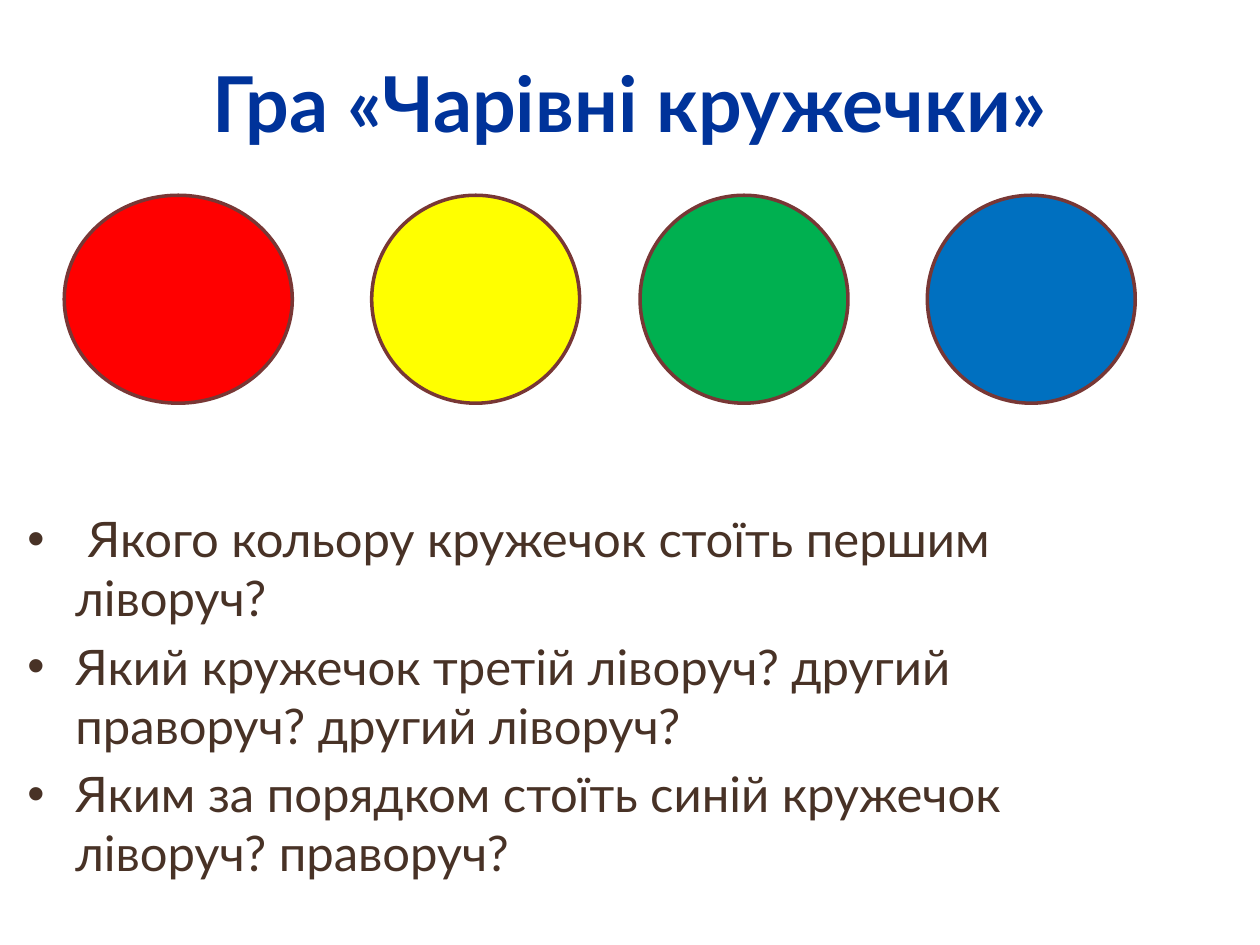
from dataclasses import dataclass

import pptx
import pptx.dml.color
import pptx.enum.shapes
import pptx.enum.text
import pptx.oxml
import pptx.oxml.ns
import pptx.util

Inches = pptx.util.Inches
Pt = pptx.util.Pt
RGBColor = pptx.dml.color.RGBColor
PP_ALIGN = pptx.enum.text.PP_ALIGN
MSO_ANCHOR = pptx.enum.text.MSO_ANCHOR

FONT = "Lato"
NAVY = RGBColor(0x00, 0x33, 0x9A)
BROWN = RGBColor(0x48, 0x32, 0x26)
OUTLINE = RGBColor(0x78, 0x37, 0x35)
RED = RGBColor(0xFF, 0x00, 0x00)
YELLOW = RGBColor(0xFF, 0xFF, 0x00)
GREEN = RGBColor(0x00, 0xB0, 0x50)
BLUE = RGBColor(0x00, 0x70, 0xC0)

CIRCLE_TOP = 1.55
DIAMETER = 1.65


@dataclass
class Circle:
    left: float
    color: RGBColor
    width: float = DIAMETER


CIRCLES = [
    Circle(0.51, RED, width=1.81),
    Circle(2.95, YELLOW),
    Circle(5.08, GREEN),
    Circle(7.36, BLUE),
]

QUESTIONS = [
    " Якого кольору кружечок стоїть першим ліворуч?",
    "Який кружечок третій ліворуч? другий праворуч? другий ліворуч?",
    "Яким за порядком стоїть синій кружечок ліворуч? праворуч?",
]


def add_bullet(p, indent: float) -> None:
    pPr = p._p.get_or_add_pPr()
    pPr.set("marL", str(Inches(indent)))
    pPr.set("indent", str(-Inches(indent)))
    ns = pptx.oxml.ns.nsdecls("a")
    pPr.append(pptx.oxml.parse_xml(f'<a:buFont {ns} typeface="Arial"/>'))
    pPr.append(pptx.oxml.parse_xml(f'<a:buChar {ns} char="•"/>'))


def add_text(slide, lines: list[str], left: float, top: float, width: float,
             height: float, *, size: float, color: RGBColor, bold: bool = False,
             align=PP_ALIGN.LEFT, anchor=MSO_ANCHOR.TOP,
             bullet_indent: float = 0, space_before: float = 0) -> None:
    sp = slide.shapes.add_textbox(Inches(left), Inches(top), Inches(width), Inches(height))
    tf = sp.text_frame
    tf.word_wrap = True
    tf.vertical_anchor = anchor
    for i, line in enumerate(lines):
        p = tf.paragraphs[0] if i == 0 else tf.add_paragraph()
        if bullet_indent:
            add_bullet(p, bullet_indent)
        p.alignment = align
        if i and space_before:
            p.space_before = Pt(space_before)
        r = p.add_run()
        r.text = line
        r.font.name = FONT
        r.font.size = Pt(size)
        r.font.bold = bold
        r.font.color.rgb = color


def add_circle(slide, circle: Circle) -> None:
    sp = slide.shapes.add_shape(
        pptx.enum.shapes.MSO_SHAPE.OVAL, Inches(circle.left), Inches(CIRCLE_TOP),
        Inches(circle.width), Inches(DIAMETER))
    sp.shadow.inherit = False
    sp.fill.solid()
    sp.fill.fore_color.rgb = circle.color
    sp.line.color.rgb = OUTLINE
    sp.line.width = Pt(2)


def main() -> None:
    prs = pptx.Presentation()
    prs.slide_width = Inches(10)
    prs.slide_height = Inches(7.5)
    s = prs.slides.add_slide(prs.slide_layouts[6])
    add_text(s, ["Гра «Чарівні кружечки»"], 0.5, 0.3, 9, 1.01, size=44, color=NAVY,
             bold=True, align=PP_ALIGN.CENTER, anchor=MSO_ANCHOR.MIDDLE)
    add_text(s, QUESTIONS, 0.12, 3.99, 9.37, 2.71, size=28, color=BROWN,
             bullet_indent=0.38, space_before=5.6)
    for circle in CIRCLES:
        add_circle(s, circle)
    prs.save("out.pptx")


if __name__ == "__main__":
    main()
